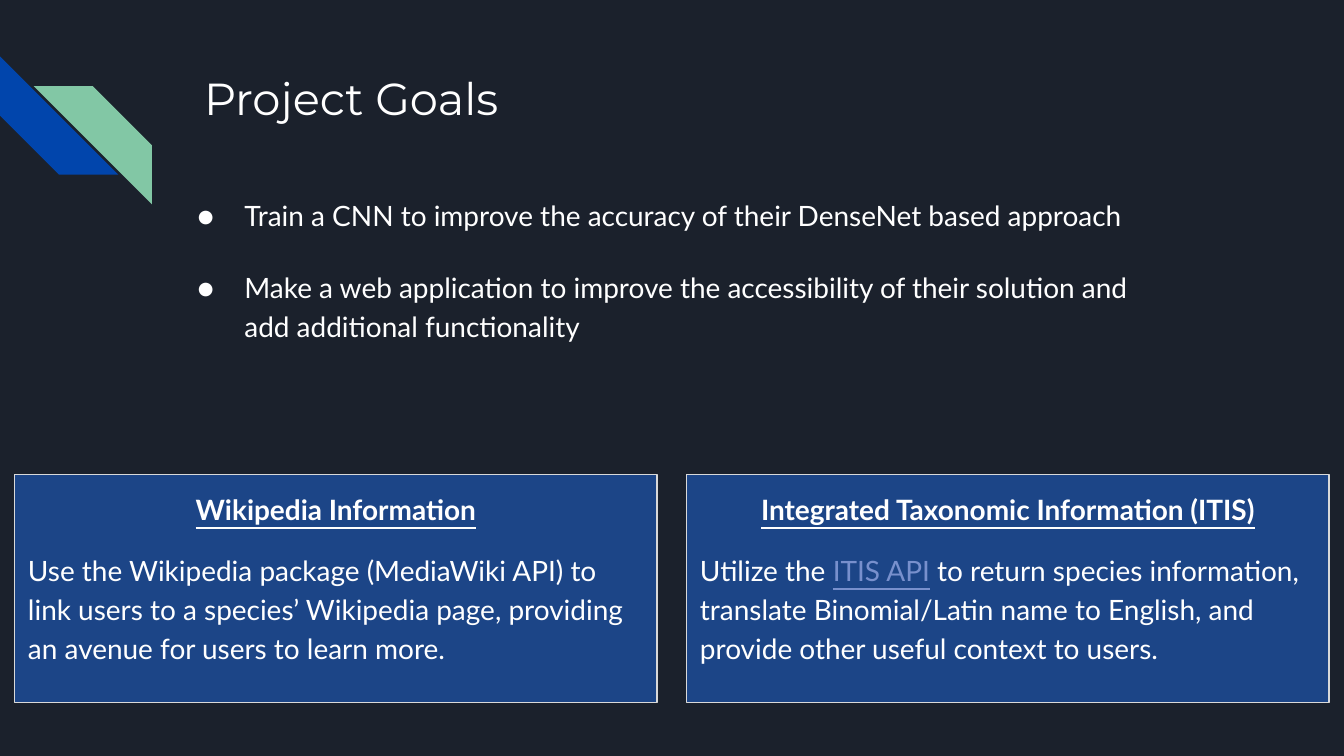
from lxml.etree import SubElement
from pptx import Presentation
from pptx.dml.color import RGBColor
from pptx.enum.shapes import MSO_SHAPE
from pptx.enum.text import MSO_ANCHOR, PP_ALIGN
from pptx.oxml.ns import qn
from pptx.util import Inches, Pt

BACKGROUND = RGBColor(0x1B, 0x21, 0x2C)
WHITE = RGBColor(0xFF, 0xFF, 0xFF)
BLUE = RGBColor(0x01, 0x45, 0xAC)
GREEN = RGBColor(0x82, 0xC7, 0xA5)
CARD_FILL = RGBColor(0x1C, 0x45, 0x87)
CARD_LINE = RGBColor(0xD9, 0xD9, 0xD9)
LINK = RGBColor(0x78, 0x90, 0xCD)

GOALS = [
    "Train a CNN to improve the accuracy of their DenseNet based approach",
    "Make a web application to improve the accessibility of their solution "
    "and add additional functionality",
]
CARDS = [
    ("Wikipedia Information", [
        ("Use the Wikipedia package (MediaWiki API) to link users to a species’ "
         "Wikipedia page, providing an avenue for users to learn more.", {}),
    ]),
    ("Integrated Taxonomic Information (ITIS)", [
        ("Utilize the ", {}),
        ("ITIS API", {"color": LINK, "underline": True}),
        (" to return species information, translate Binomial/Latin name to English, "
         "and provide other useful context to users.", {}),
    ]),
]
CARD_LEFT, CARD_TOP, CARD_WIDTH, CARD_HEIGHT = 0.11, 3.53, 4.78, 1.7
CARD_STEP = 5


def add_run(paragraph, text, size=15, font="Lato", color=WHITE, bold=False, underline=False):
    run = paragraph.add_run()
    run.text = text
    run.font.size = Pt(size)
    run.font.name = font
    run.font.color.rgb = color
    run.font.bold = bold
    run.font.underline = underline


def add_bullet(paragraph):
    properties = paragraph._p.get_or_add_pPr()
    properties.set("marL", str(Inches(0.5)))
    properties.set("indent", str(Inches(-0.35)))
    color = SubElement(properties, qn("a:buClr"))
    SubElement(color, qn("a:srgbClr"), val=str(WHITE))
    SubElement(properties, qn("a:buSzPts"), val="1500")
    SubElement(properties, qn("a:buFont"), typeface="Lato")
    SubElement(properties, qn("a:buChar"), char="●")
    paragraph.font.size = Pt(15)


def prepare_frame(shape):
    frame = shape.text_frame
    frame.word_wrap = True
    frame.vertical_anchor = MSO_ANCHOR.TOP
    frame.margin_left = frame.margin_right = Inches(0.1)
    frame.margin_top = frame.margin_bottom = Inches(0.1)
    return frame


def add_text_box(slide, left, top, width, height):
    return prepare_frame(slide.shapes.add_textbox(
        Inches(left), Inches(top), Inches(width), Inches(height)))


def add_filled_shape(slide, kind, left, top, width, height, fill):
    shape = slide.shapes.add_shape(
        kind, Inches(left), Inches(top), Inches(width), Inches(height))
    shape.shadow.inherit = False
    shape.fill.solid()
    shape.fill.fore_color.rgb = fill
    shape.line.fill.background()
    return shape


def add_stripe(slide, left, top, rotation, fill):
    stripe = add_filled_shape(
        slide, MSO_SHAPE.DIAGONAL_STRIPE, left, top, 0.88, 0.88, fill)
    stripe.rotation = rotation


def add_goals(slide):
    frame = add_text_box(slide, 1.22, 1.34, 7.55, 3.18)
    for index, goal in enumerate(GOALS):
        paragraph = frame.add_paragraph() if index else frame.paragraphs[0]
        paragraph.line_spacing = 1.15
        if index:
            paragraph.space_before = Pt(18)
        add_bullet(paragraph)
        add_run(paragraph, goal)


def add_card(slide, left, heading, runs):
    card = add_filled_shape(
        slide, MSO_SHAPE.RECTANGLE, left, CARD_TOP, CARD_WIDTH, CARD_HEIGHT, CARD_FILL)
    card.line.color.rgb = CARD_LINE
    card.line.width = Pt(0.75)
    frame = prepare_frame(card)

    title = frame.paragraphs[0]
    title.alignment = PP_ALIGN.CENTER
    title.line_spacing = 1.15
    add_run(title, heading, bold=True, underline=True)

    description = frame.add_paragraph()
    description.alignment = PP_ALIGN.LEFT
    description.line_spacing = 1.15
    description.space_before = Pt(12)
    for text, text_format in runs:
        add_run(description, text, **text_format)


def main():
    presentation = Presentation()
    presentation.slide_width = Inches(10)
    presentation.slide_height = presentation.slide_width * 9 // 16
    slide = presentation.slides.add_slide(presentation.slide_layouts[6])
    slide.background.fill.solid()
    slide.background.fill.fore_color.rgb = BACKGROUND

    add_stripe(slide, 0, 0.42, 270, BLUE)
    add_stripe(slide, 0.25, 0.64, 90, GREEN)

    title = add_text_box(slide, 1.42, 0.43, 7.7, 1)
    add_run(title.paragraphs[0], "Project Goals", size=24, font="Montserrat")
    add_goals(slide)
    for index, (heading, runs) in enumerate(CARDS):
        add_card(slide, CARD_LEFT + index * CARD_STEP, heading, runs)

    presentation.save("out.pptx")


if __name__ == "__main__":
    main()
